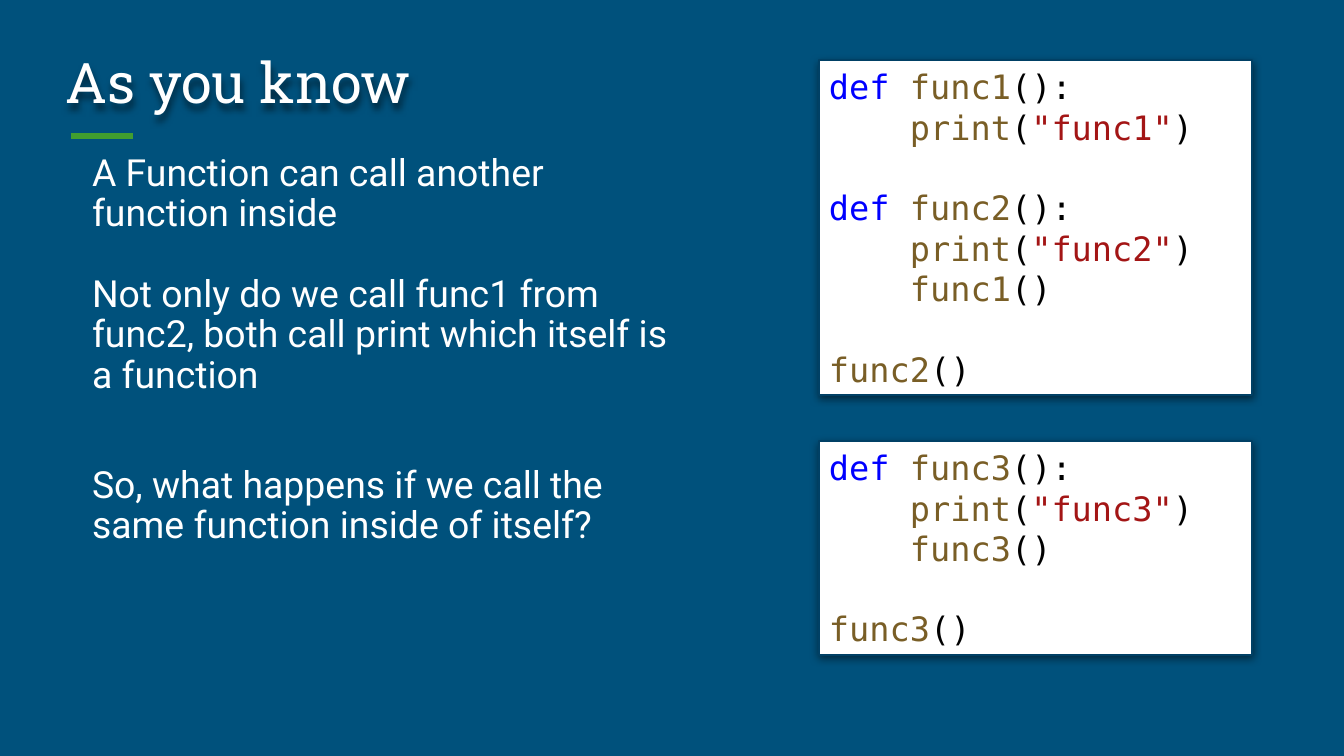
from dataclasses import dataclass

from lxml.etree import SubElement
from pptx import Presentation
from pptx.dml.color import RGBColor
from pptx.enum.shapes import MSO_CONNECTOR, MSO_SHAPE
from pptx.enum.text import MSO_ANCHOR as Anchor, PP_ALIGN as Align
from pptx.oxml.ns import qn
from pptx.util import Emu, Pt


@dataclass(frozen=True)
class Theme:
    background: str = "00517C"
    accent: str = "419E2F"
    text: str = "FFFFFF"
    panel: str = "FFFFFF"
    panel_line: str = "004065"
    keyword: str = "0000FF"
    name: str = "795E26"
    plain: str = "000000"
    string: str = "A31515"
    title_font: str = "Roboto Slab"
    body_font: str = "Roboto"
    code_font: str = "DejaVu Sans Mono"
    title_size: int = 30
    body_size: int = 20
    code_size: int = 18


THEME = Theme()

# Content: body paragraphs with the gap above each, in points
TITLE = "As you know"
BODY = [
    ("A Function can call another function inside", 0),
    ("Not only do we call func1 from func2, both call print which itself is a function", 21.8),
    ("So, what happens if we call the same function inside of itself?", 37.5),
]


# Code lines are lists of (token kind, text); an empty list is a blank line
def define(function):
    return [("keyword", "def "), ("name", function), ("plain", "():")]


def show(function):
    return [("plain", "    "), ("name", "print"), ("plain", "("),
            ("string", f'"{function}"'), ("plain", ")")]


def call(function, indent=""):
    return [("plain", indent)] * bool(indent) + [("name", function), ("plain", "()")]


LISTINGS = [
    [define("func1"), show("func1"), [],
     define("func2"), show("func2"), call("func1", "    "), [],
     call("func2")],
    [define("func3"), show("func3"), call("func3", "    "), [],
     call("func3")],
]

# Layout in px
SLIDE_SIZE = (1344, 756)
TITLE_BOX = (56, 35, 1230, 101)
RULE = (71, 136, 133, 136)
BODY_BOX = (82, 148, 613, 572)
CODE_LEFT, CODE_TOP, CODE_WIDTH, CODE_GAP = 819, 60, 433, 46
INSET_X, INSET_Y = 10, 6
CODE_LINE_POINTS = THEME.code_size * 1.2
CODE_LINE_PX = CODE_LINE_POINTS * 134.4 / 72


def px(length):
    return Emu(round(length * 914400 / 134.4))


def rgb(color):
    return RGBColor.from_string(color)


def set_shadow(shape, blur, distance):
    """Soft black shadow straight below, at half strength."""
    shape.shadow.inherit = False
    effects = shape._element.spPr.find(qn("a:effectLst"))
    outer = SubElement(effects, qn("a:outerShdw"), blurRad=str(Pt(blur)),
                       dist=str(Pt(distance)), dir="5400000", algn="t", rotWithShape="0")
    color = SubElement(outer, qn("a:srgbClr"), val="000000")
    SubElement(color, qn("a:alpha"), val="50000")


def prepare_frame(shape, anchor):
    frame = shape.text_frame
    frame.word_wrap = True
    frame.vertical_anchor = anchor
    frame.margin_left = frame.margin_right = px(INSET_X)
    frame.margin_top = frame.margin_bottom = px(INSET_Y)
    return frame


def add_paragraph(frame, index, runs, font, size, spacing=1.0, before=0):
    paragraph = frame.paragraphs[0] if index == 0 else frame.add_paragraph()
    paragraph.alignment = Align.LEFT
    paragraph.line_spacing = spacing
    paragraph.space_before = Pt(before)
    for text, color in runs:
        run = paragraph.add_run()
        run.text = text
        run.font.name = font
        run.font.size = Pt(size)
        run.font.color.rgb = rgb(color)


def add_text(slide, box, paragraphs, font, size, anchor):
    shape = slide.shapes.add_textbox(*map(px, box))
    frame = prepare_frame(shape, anchor)
    for index, (text, before) in enumerate(paragraphs):
        add_paragraph(frame, index, [(text, THEME.text)], font, size, 0.9, before)
    return shape


def add_code(slide, top, lines):
    height = round(len(lines) * CODE_LINE_PX + 2 * INSET_Y)
    shape = slide.shapes.add_shape(
        MSO_SHAPE.RECTANGLE, *map(px, (CODE_LEFT, top, CODE_WIDTH, height)))
    shape.fill.solid()
    shape.fill.fore_color.rgb = rgb(THEME.panel)
    shape.line.color.rgb = rgb(THEME.panel_line)
    shape.line.width = Pt(0.75)
    set_shadow(shape, 4.5, 1.5)
    frame = prepare_frame(shape, Anchor.MIDDLE)
    index = before = 0
    for line in lines:
        if not line:
            before += CODE_LINE_POINTS
            continue
        runs = [(text, getattr(THEME, kind)) for kind, text in line]
        add_paragraph(frame, index, runs, THEME.code_font, THEME.code_size, before=before)
        index, before = index + 1, 0
    return height


def main():
    presentation = Presentation()
    presentation.slide_width, presentation.slide_height = map(px, SLIDE_SIZE)
    slide = presentation.slides.add_slide(presentation.slide_layouts[6])
    slide.background.fill.solid()
    slide.background.fill.fore_color.rgb = rgb(THEME.background)

    # Accent rule under the title
    rule = slide.shapes.add_connector(MSO_CONNECTOR.STRAIGHT, *map(px, RULE))
    rule.line.color.rgb = rgb(THEME.accent)
    rule.line.width = Pt(3)
    SubElement(rule._element.spPr, qn("a:effectLst"))

    # Title and body
    title = add_text(slide, TITLE_BOX, [(TITLE, 0)], THEME.title_font,
                     THEME.title_size, Anchor.MIDDLE)
    set_shadow(title, 4, 3)
    add_text(slide, BODY_BOX, BODY, THEME.body_font, THEME.body_size, Anchor.TOP)

    # Code panels, stacked
    top = CODE_TOP
    for lines in LISTINGS:
        top += add_code(slide, top, lines) + CODE_GAP

    presentation.save("out.pptx")


if __name__ == "__main__":
    main()
